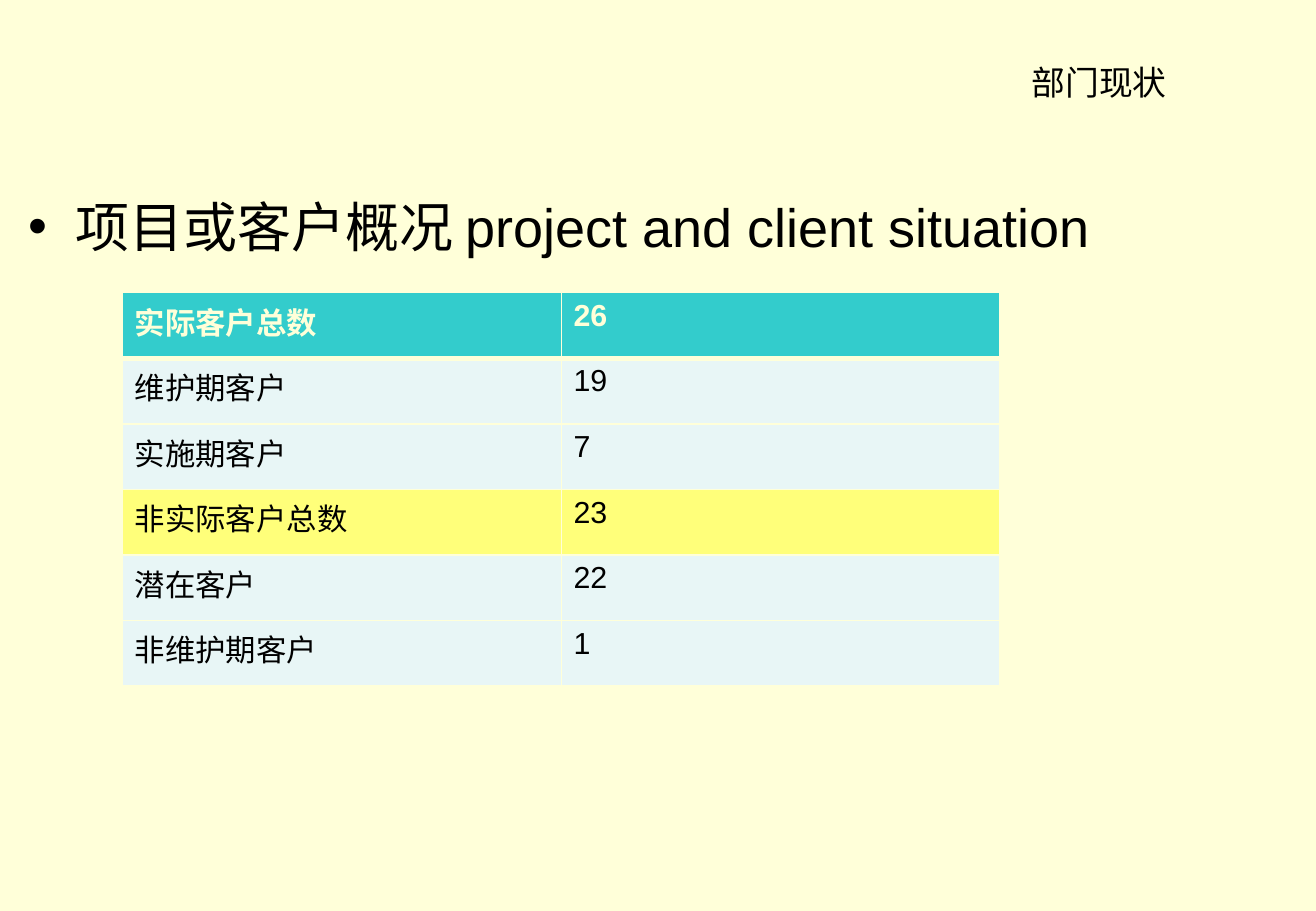
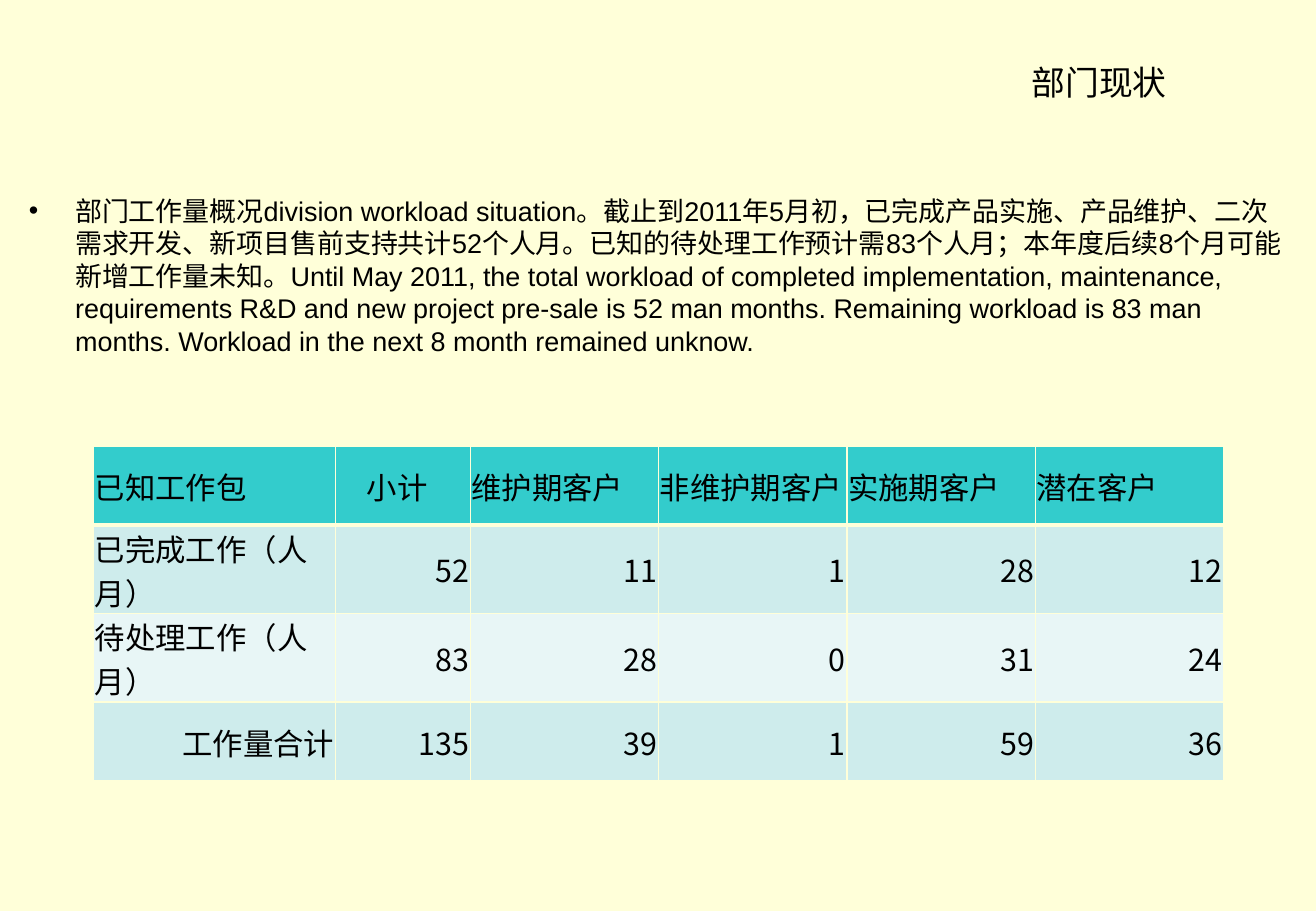
from lxml import etree
from pptx import Presentation
from pptx.dml.color import RGBColor
from pptx.enum.text import MSO_ANCHOR, PP_ALIGN
from pptx.oxml import ns
from pptx.util import Inches, Pt

CREAM = RGBColor(0xFF, 0xFF, 0xD9)
BLACK = RGBColor(0, 0, 0)
TEAL = RGBColor(0x33, 0xCC, 0xCC)
PALE = RGBColor(0xE8, 0xF6, 0xF6)
MIST = RGBColor(0xCE, 0xEC, 0xEC)
YELLOW = RGBColor(0xFF, 0xFF, 0x7A)
LATIN, CJK = "Arial", "Noto Sans CJK SC"
LEFT, CENTER, RIGHT = PP_ALIGN.LEFT, PP_ALIGN.CENTER, PP_ALIGN.RIGHT

TITLE = "部门现状"
SLIDES = [
    {
        "body": "项目或客户概况 project and client situation",
        "size": 32, "pitch": 38,
        "table": {
            "at": (1.01, 2.41), "columns": [3.61] * 2, "heights": [0.54] * 6,
            "rows": [
                ("实际客户总数", "26"),
                ("维护期客户", "19"),
                ("实施期客户", "7"),
                ("非实际客户总数", "23"),
                ("潜在客户", "22"),
                ("非维护期客户", "1"),
            ],
            "fills": [TEAL, PALE, PALE, YELLOW, PALE, PALE],
            "font": LATIN,
            "header": {"color": CREAM, "bold": True},
            "cell": {"vertical_anchor": MSO_ANCHOR.TOP},
            "aligned_right": set(),
            "indented": {},
        },
    },
    {
        "body": "部门工作量概况division workload situation。截止到2011年5月初，"
                "已完成产品实施、产品维护、二次需求开发、新项目售前支持共计52个人月。"
                "已知的待处理工作预计需83个人月；本年度后续8个月可能新增工作量未知。"
                "Until May 2011, the total workload of completed implementation, "
                "maintenance, requirements R&D and new project pre-sale is 52 man months. "
                "Remaining workload is 83 man months. "
                "Workload in the next 8 month remained unknow.",
        "size": 16, "pitch": 19.25,
        "table": {
            "at": (0.77, 3.67), "columns": [1.99, 1.11] + [1.55] * 4,
            "heights": [0.65, 0.73, 0.73, 0.65],
            "rows": [
                ("已知工作包", "小计", "维护期客户", "非维护期客户", "实施期客户", "潜在客户"),
                ("已完成工作（人月）", "52", "11", "1", "28", "12"),
                ("待处理工作（人月）", "83", "28", "0", "31", "24"),
                ("工作量合计", "135", "39", "1", "59", "36"),
            ],
            "fills": [TEAL, MIST, PALE, MIST],
            "font": CJK,
            "header": {"color": BLACK, "bold": False},
            "cell": {
                "vertical_anchor": MSO_ANCHOR.MIDDLE,
                "margin_left": Inches(0.01), "margin_right": Inches(0.01),
                "margin_top": Inches(0.01), "margin_bottom": 0,
            },
            "aligned_right": {(r, c) for r in (1, 2, 3) for c in range(1, 6)} | {(3, 0)},
            "indented": {(0, 1): Inches(0.26)},
        },
    },
]


def write(frame, words, size, font=LATIN, color=BLACK, bold=False, align=LEFT):
    paragraph = frame.paragraphs[0]
    paragraph.alignment = align
    run = paragraph.add_run()
    run.text = words
    for name, value in {"size": Pt(size), "name": font, "bold": bold}.items():
        setattr(run.font, name, value)
    run.font.color.rgb = color
    east_asian = etree.Element(ns.qn("a:ea"), typeface=CJK)
    run.font._element.find(ns.qn("a:latin")).addnext(east_asian)
    return paragraph


def add_frame(slide, left, top, width, height, anchor):
    frame = slide.shapes.add_textbox(*map(Inches, (left, top, width, height))).text_frame
    frame.word_wrap = True
    frame.vertical_anchor = anchor
    return frame


def add_bullet(paragraph):
    properties = paragraph._p.get_or_add_pPr()
    indent = Inches(0.38)
    properties.set("marL", str(indent))
    properties.set("indent", str(-indent))
    etree.SubElement(properties, ns.qn("a:buFont"), typeface=LATIN)
    etree.SubElement(properties, ns.qn("a:buChar"), char="•")


def add_borders(cell, row):
    widths = {"lnL": 1, "lnR": 1, "lnT": 3 if row == 1 else 1, "lnB": 3 if row == 0 else 1}
    properties = cell._tc.get_or_add_tcPr()
    for side, width in widths.items():
        line = etree.SubElement(properties, ns.qn(f"a:{side}"), w=str(Pt(width)))
        fill = etree.SubElement(line, ns.qn("a:solidFill"))
        etree.SubElement(fill, ns.qn("a:srgbClr"), val=str(CREAM))


def add_table(slide, content):
    rows, columns, heights = content["rows"], content["columns"], content["heights"]
    left, top = content["at"]
    table = slide.shapes.add_table(
        len(rows), len(columns),
        *map(Inches, (left, top, sum(columns), sum(heights)))).table
    table.first_row = table.horz_banding = False
    for column, width in zip(table.columns, columns):
        column.width = Inches(width)
    for r, (row, fill, height) in enumerate(zip(rows, content["fills"], heights)):
        table.rows[r].height = Inches(height)
        for c, words in enumerate(row):
            cell = table.cell(r, c)
            for name, value in content["cell"].items():
                setattr(cell, name, value)
            if (r, c) in content["indented"]:
                cell.margin_left = content["indented"][r, c]
            add_borders(cell, r)
            cell.fill.solid()
            cell.fill.fore_color.rgb = fill
            align = RIGHT if (r, c) in content["aligned_right"] else LEFT
            style = content["header"] if r == 0 else {}
            write(cell.text_frame, words, 18, content["font"], align=align, **style)


def main():
    deck = Presentation()
    deck.slide_width, deck.slide_height = Inches(10.83), Inches(7.5)
    background = deck.slide_master.background.fill
    background.solid()
    background.fore_color.rgb = CREAM
    for content in SLIDES:
        slide = deck.slides.add_slide(deck.slide_layouts[6])
        title = add_frame(slide, 7.39, 0.13, 3.31, 1.09, MSO_ANCHOR.MIDDLE)
        write(title, TITLE, 20, align=CENTER)
        body = add_frame(slide, 0.14, 1.55, 10.55, 4.73, MSO_ANCHOR.TOP)
        statement = write(body, content["body"], content["size"])
        statement.line_spacing = Pt(content["pitch"])
        add_bullet(statement)
        add_table(slide, content["table"])
    deck.save("out.pptx")


if __name__ == "__main__":
    main()
